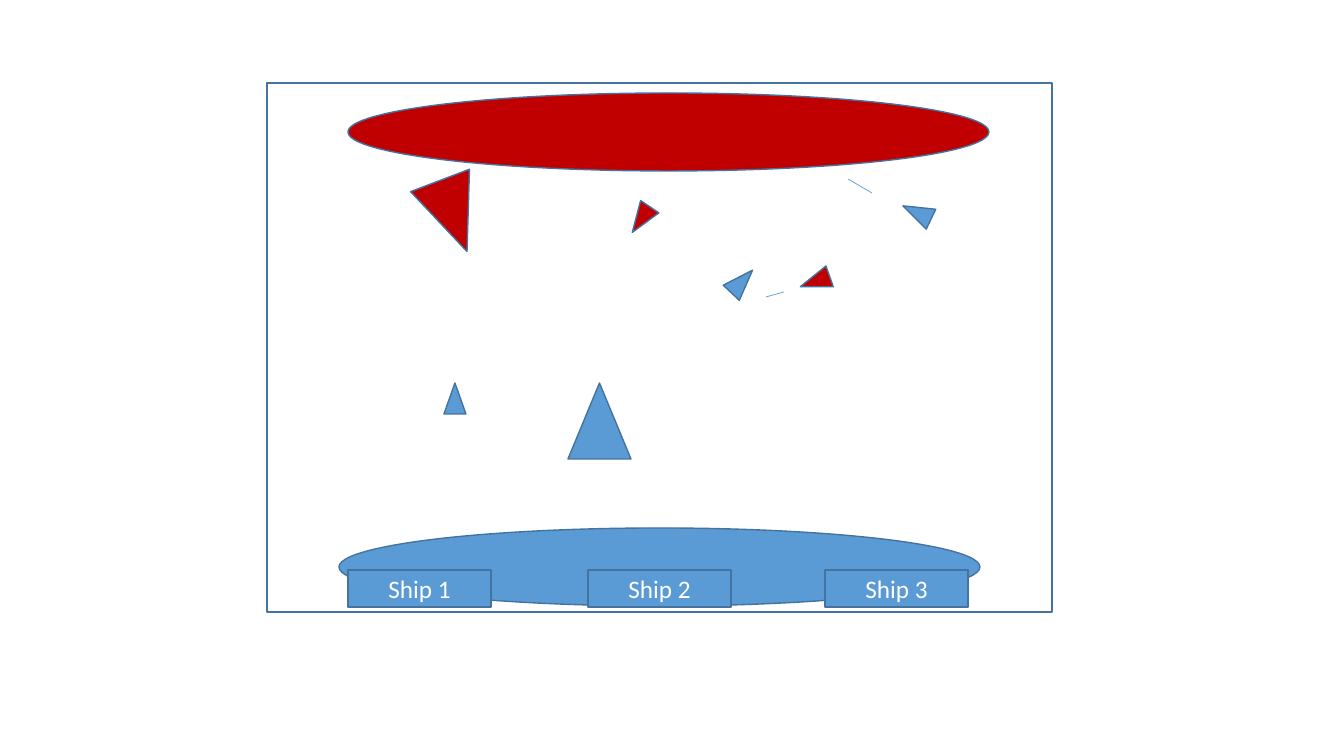
from pptx import Presentation
from pptx.dml.color import RGBColor
from pptx.enum.shapes import MSO_CONNECTOR as Connector, MSO_SHAPE as Shape
from pptx.enum.text import MSO_ANCHOR as Anchor, PP_ALIGN as Align
from pptx.oxml.ns import qn
from pptx.util import Emu, Pt
from lxml.etree import SubElement

EMU_PER_PX = 914400 / 100.8
COLOURS = {"blue": "5B9BD5", "red": "C00000", "outline": "43739E", "white": "FFFFFF"}
FIGHTER_SIZE = (22, 31)
CRUISER_SIZE = (63, 76)


def px(length):
    return Emu(round(length * EMU_PER_PX))


def colour(name):
    return RGBColor.from_string(COLOURS[name])


def add_outlined(slide, kind, left, top, width, height, fill=None, rotation=0):
    """Add a preset shape with the common outline; no fill name leaves it hollow."""
    shape = slide.shapes.add_shape(kind, px(left), px(top), px(width), px(height))
    shape.shadow.inherit = False
    shape.rotation = rotation
    if fill:
        shape.fill.solid()
        shape.fill.fore_color.rgb = colour(fill)
    else:
        shape.fill.background()
    shape.line.color.rgb = colour("outline")
    shape.line.width = Pt(1)
    return shape


def add_ship_label(slide, left, text):
    box = add_outlined(slide, Shape.RECTANGLE, left, 570, 143, 37, "blue")
    frame = box.text_frame
    frame.text = text
    frame.vertical_anchor = Anchor.MIDDLE
    para = frame.paragraphs[0]
    para.alignment = Align.CENTER
    font = para.runs[0].font
    font.name = "Calibri"
    font.size = Pt(18)
    font.color.rgb = colour("white")


def add_shot(slide, *ends):
    """Draw a thin line between the ends x1, y1, x2, y2."""
    shot = slide.shapes.add_connector(Connector.STRAIGHT, *map(px, ends))
    shot.line.color.rgb = colour("blue")
    shot.line.width = Pt(0.5)
    SubElement(shot._element.spPr, qn("a:effectLst"))


def main():
    deck = Presentation()
    deck.slide_width, deck.slide_height = px(1344), px(756)
    slide = deck.slides.add_slide(deck.slide_layouts[6])

    add_outlined(slide, Shape.RECTANGLE, 267, 83, 785, 529)
    add_outlined(slide, Shape.OVAL, 348, 93, 641, 78, "red")
    add_outlined(slide, Shape.OVAL, 339, 528, 641, 78, "blue")

    for number, left in enumerate((348, 588, 825), start=1):
        add_ship_label(slide, left, f"Ship {number}")

    craft = [
        (444, 383, FIGHTER_SIZE, "blue", 0),
        (731, 266, FIGHTER_SIZE, "blue", 43.3),
        (804, 266, FIGHTER_SIZE, "red", 250.6),
        (630, 204, FIGHTER_SIZE, "red", 214.2),
        (568, 383, CRUISER_SIZE, "blue", 0),
        (422, 178, CRUISER_SIZE, "red", 159.2),
        (906, 197, FIGHTER_SIZE, "blue", 295.5),
    ]
    for left, top, size, fill, rotation in craft:
        add_outlined(slide, Shape.ISOSCELES_TRIANGLE, left, top, *size, fill, rotation)

    add_shot(slide, 784, 292, 766, 297)
    add_shot(slide, 848, 179, 872, 193)

    deck.save("out.pptx")


if __name__ == "__main__":
    main()
